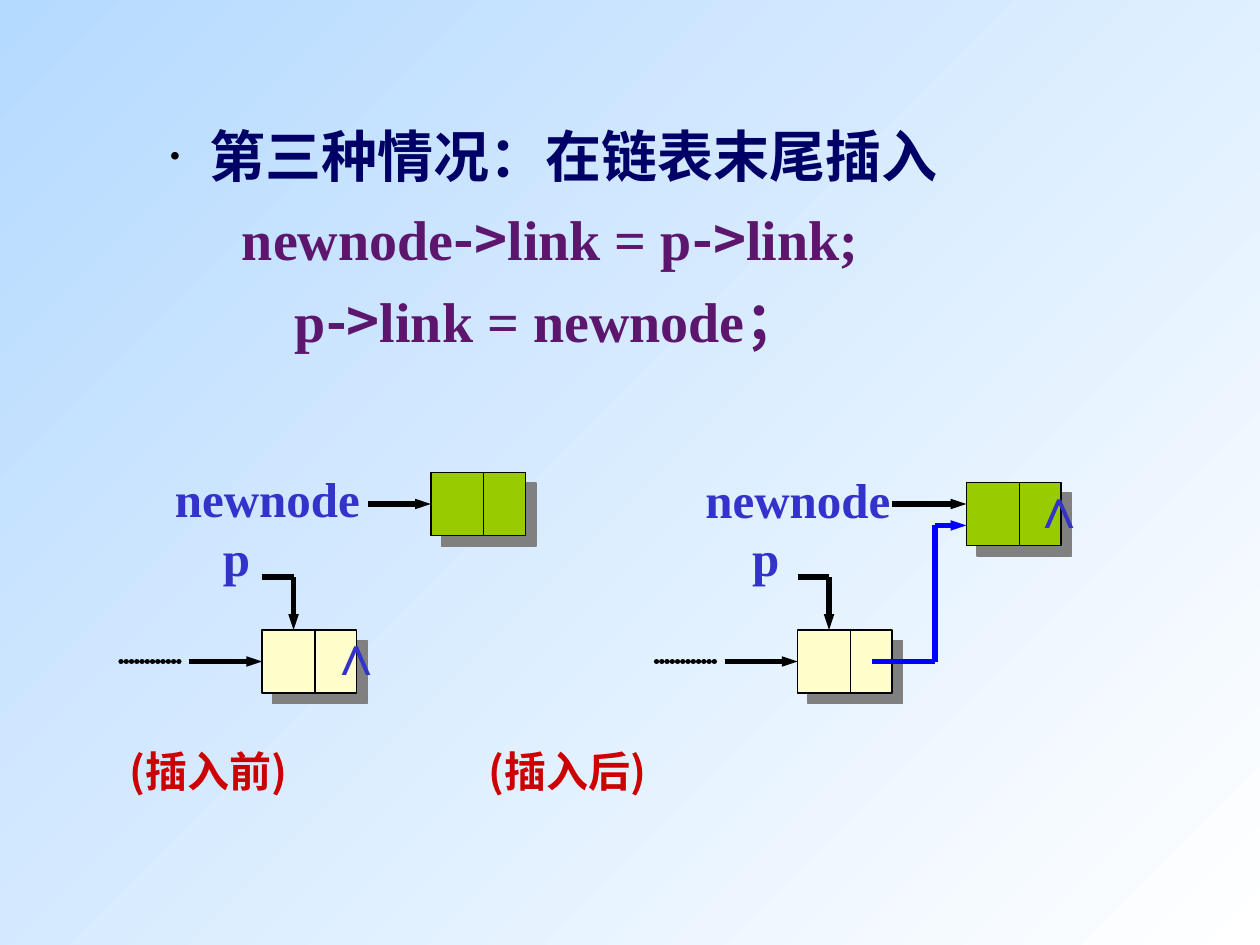
from dataclasses import dataclass

from lxml import etree
from pptx import Presentation
from pptx.dml.color import RGBColor
from pptx.enum import shapes, text
from pptx.oxml.ns import qn
from pptx.util import Inches, Pt

SERIF, SANS = "Times New Roman", "Noto Sans CJK SC"
BLACK, BLUE, LABEL = "000000", "0000FF", "3333CC"
CREAM, GREEN = "FFFFCC", "99CC00"
NODE_W, NODE_H, LINK_X = 0.75, 0.5, 0.42


@dataclass
class Node:
    x: float
    y: float
    fill: str


@dataclass
class Label:
    words: str
    x: float
    y: float
    w: float
    h: float
    size: int = 28
    font: str = SERIF
    color: str = LABEL


@dataclass
class Line:
    x1: float
    y1: float
    x2: float
    y2: float
    color: str = BLACK
    width: float = 3
    arrow: bool = False
    dotted: bool = False


def rgb(color: str) -> RGBColor:
    return RGBColor.from_string(color)


def add_xml(parent, tag: str, **attrs: str):
    return etree.SubElement(parent, qn(tag), attrs)


def set_font(font, size: float, name: str, color: str) -> None:
    font.size, font.name, font.bold = Pt(size), name, True
    font.color.rgb = rgb(color)


def draw_line(s, line: Line) -> None:
    c = s.shapes.add_connector(
        shapes.MSO_CONNECTOR.STRAIGHT,
        Inches(line.x1), Inches(line.y1), Inches(line.x2), Inches(line.y2))
    c.line.color.rgb = rgb(line.color)
    c.line.width = Pt(line.width)
    ln = c.line._get_or_add_ln()
    if line.dotted:
        # Round dots that almost touch
        ln.set("cap", "rnd")
        add_xml(add_xml(ln, "a:custDash"), "a:ds", d="1000", sp="99000")
    if line.arrow:
        add_xml(ln, "a:tailEnd", type="triangle", w="sm", len="med")
    add_xml(c._element.spPr, "a:effectLst")


def draw_node(s, node: Node) -> None:
    sp = s.shapes.add_shape(
        shapes.MSO_SHAPE.RECTANGLE,
        Inches(node.x), Inches(node.y), Inches(NODE_W), Inches(NODE_H))
    sp.fill.solid()
    sp.fill.fore_color.rgb = rgb(node.fill)
    sp.line.color.rgb = rgb(BLACK)
    sp.line.width = Pt(0.75)
    # Hard grey shadow, down and to the right
    effects = add_xml(sp._element.spPr, "a:effectLst")
    shadow = add_xml(effects, "a:outerShdw", dist=str(Pt(8.5)),
                     dir="2700000", algn="ctr", rotWithShape="0")
    add_xml(shadow, "a:srgbClr", val="808080")
    # Divider between the data field and the link field
    x = node.x + LINK_X
    draw_line(s, Line(x, node.y, x, node.y + NODE_H, width=0.75))


def draw_label(s, label: Label, tab: float = 0) -> None:
    box = s.shapes.add_textbox(
        Inches(label.x), Inches(label.y), Inches(label.w), Inches(label.h))
    tf = box.text_frame
    tf.word_wrap = False
    p = tf.paragraphs[0]
    p.text = label.words
    if tab:
        tabs = add_xml(p._p.get_or_add_pPr(), "a:tabLst")
        add_xml(tabs, "a:tab", pos=str(Inches(tab)), algn="l")
    set_font(p.font, label.size, label.font, label.color)


def draw_list_end(s, x: float) -> None:
    """Draw the last list node at x, the link into it and the pointer p."""
    y, mid = 5, 5.25
    draw_node(s, Node(x, y, CREAM))
    for line in (
        Line(x - 0.66, mid, x - 1.16, mid, dotted=True),
        Line(x - 0.58, mid, x, mid, arrow=True),
        Line(x + 0.25, 4.58, x, 4.58),
        Line(x + 0.25, 4.58, x + 0.25, y, arrow=True),
    ):
        draw_line(s, line)


def fill_body(body) -> None:
    body.left, body.top = Inches(0.75), Inches(0.91)
    body.width, body.height = Inches(8.5), Inches(5.75)
    tf = body.text_frame
    tf.auto_size = text.MSO_AUTO_SIZE.NONE
    tf.vertical_anchor = text.MSO_ANCHOR.TOP
    heading, purple = "000066", "5D166E"
    # Left margin, hanging indent, colour, pieces of text (arrows in sans)
    rows = (
        (0.81, -0.31, heading, ("第三种情况：在链表末尾插入",)),
        (1.07, 0, purple, ("newnode", "->", "link = p", "->", "link;")),
        (1.49, 0, purple, ("p", "->", "link = newnode；")),
    )
    for i, (margin, indent, color, pieces) in enumerate(rows):
        p = tf.paragraphs[0] if i == 0 else tf.add_paragraph()
        p.line_spacing = Pt(39)
        p.space_before = Pt(8 if i else 0)
        pPr = p._p.get_or_add_pPr()
        pPr.set("marL", str(Inches(margin)))
        pPr.set("indent", str(Inches(indent)))
        if indent:
            add_xml(add_xml(pPr, "a:buClr"), "a:srgbClr", val=BLACK)
            add_xml(pPr, "a:buSzPct", val="50000")
            add_xml(pPr, "a:buChar", char="•")
        else:
            add_xml(pPr, "a:buNone")
        for piece in pieces:
            r = p.add_run()
            r.text = piece
            set_font(r.font, 32, SANS if piece == "->" else SERIF, color)


def main() -> None:
    prs = Presentation()
    prs.slide_width, prs.slide_height = Inches(10), Inches(7.5)
    s = prs.slides.add_slide(prs.slide_layouts[1])
    title = s.shapes.title._element
    title.getparent().remove(title)

    # Background
    fill = s.background.fill
    fill.gradient()
    fill.gradient_angle = 315
    for stop, color, place in zip(fill.gradient_stops, ("B5DAFF", "FFFFFF"), (0, 1)):
        stop.color.rgb = rgb(color)
        stop.position = place

    fill_body(s.placeholders[1])

    # List end before and after the insertion
    for x in (2.08, 6.33):
        draw_list_end(s, x)

    # New nodes and their pointers
    draw_node(s, Node(3.42, 3.75, GREEN))
    draw_node(s, Node(7.67, 3.83, GREEN))
    draw_line(s, Line(2.92, 4, 3.42, 4, arrow=True))
    draw_line(s, Line(7.08, 4, 7.67, 4, arrow=True))

    # New link from the old last node to the new node
    draw_line(s, Line(6.92, 5.25, 7.42, 5.25, BLUE))
    draw_line(s, Line(7.42, 4.17, 7.42, 5.25, BLUE))
    draw_line(s, Line(7.42, 4.17, 7.67, 4.17, BLUE, arrow=True))

    # Pointer names and null links
    for label in (
        Label("newnode", 1.29, 3.67, 1.75, 0.57),
        Label("newnode", 5.5, 3.68, 1.75, 0.57),
        Label("p", 1.67, 4.14, 0.45, 0.57),
        Label("p", 5.87, 4.14, 0.45, 0.57),
        Label("∧", 2.51, 4.87, 0.35, 0.64, 32, "Arial"),
        Label("∧", 8.09, 3.7, 0.35, 0.64, 32, "Arial"),
    ):
        draw_label(s, label)

    # Captions
    draw_label(s, Label("(插入前)\t(插入后)", 0.93, 5.87, 7.38, 0.5,
                        24, SANS, "CC0000"), tab=2.85)

    prs.save("out.pptx")


if __name__ == "__main__":
    main()
